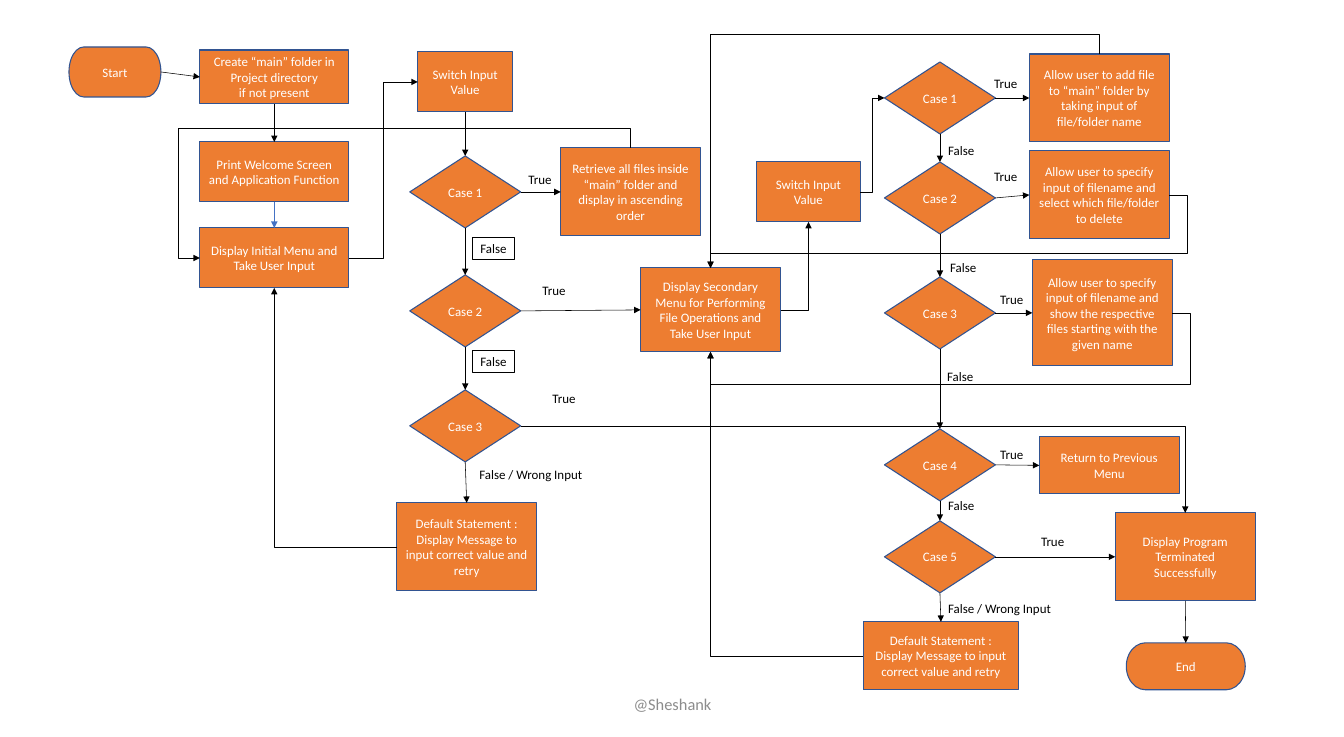
from lxml import etree
from pptx import Presentation, util as u
from pptx.dml.color import RGBColor
from pptx.enum import shapes, text
from pptx.oxml.ns import qn

ORANGE = RGBColor(0xED, 0x7D, 0x31)
NAVY = RGBColor(0x32, 0x54, 0x91)
BLUE = RGBColor(0x44, 0x72, 0xC4)
BLACK = RGBColor(0, 0, 0)
WHITE = RGBColor(0xFF, 0xFF, 0xFF)
GREY = RGBColor(0x8C, 0x8C, 0x8C)
TOP, LEFT, BOTTOM, RIGHT = range(4)
PROCESS = shapes.MSO_SHAPE.FLOWCHART_PROCESS
DECISION = shapes.MSO_SHAPE.FLOWCHART_DECISION
TERMINATOR = shapes.MSO_SHAPE.FLOWCHART_TERMINATOR
RECTANGLE = shapes.MSO_SHAPE.RECTANGLE


def px(*lengths):
    """Turn whole pixels into EMU."""
    return [u.Emu(round(length * 914400 / 77.6)) for length in lengths]


class Flowchart:
    """Holds the style and the current slide."""

    font_name = "Calibri"
    font_size = 12

    def __init__(self, slide):
        self.shapes = slide.shapes

    def set_text(self, shape, words, color, align, anchor, size=font_size):
        """Put styled text into a shape, one paragraph per line of words."""
        frame = shape.text_frame
        frame.text = words
        frame.vertical_anchor = anchor
        for paragraph in frame.paragraphs:
            paragraph.alignment = align
            paragraph.font.name = self.font_name
            paragraph.font.size = u.Pt(size)
            paragraph.font.color.rgb = color
        return frame

    def node(self, kind, words, *box):
        """Draw one step of the flow."""
        shape = self.shapes.add_shape(kind, *px(*box))
        shape.shadow.inherit = False
        shape.fill.solid()
        shape.fill.fore_color.rgb = ORANGE
        shape.line.color.rgb = NAVY
        shape.line.width = u.Pt(1)
        frame = self.set_text(shape, words, WHITE, text.PP_ALIGN.CENTER, text.MSO_ANCHOR.MIDDLE)
        frame.word_wrap = True
        return shape

    def cases(self, left, tops):
        """Draw a column of numbered decisions."""
        return [self.node(DECISION, f"Case {number}", left, top, 111, 72)
                for number, top in enumerate(tops, 1)]

    def label(self, words, left, top, width, bordered=False):
        """Place the outcome beside a branch."""
        box = self.shapes.add_textbox(*px(left, top, width, 23))
        self.set_text(box, words, BLACK, text.PP_ALIGN.LEFT, text.MSO_ANCHOR.TOP).word_wrap = False
        if bordered:
            box.line.color.rgb = BLACK
            box.line.width = u.Pt(0.75)

    def footer(self, words, *box):
        """Place the centred footer."""
        shape = self.shapes.add_textbox(*px(*box))
        frame = self.set_text(shape, words, GREY, text.PP_ALIGN.CENTER, text.MSO_ANCHOR.MIDDLE, 15.2)
        frame.word_wrap = True

    def arrow(self, source, source_side, target, target_side, color=BLACK):
        """Join two steps with a straight arrow."""
        connector = self.shapes.add_connector(shapes.MSO_CONNECTOR.STRAIGHT, 0, 0, 0, 0)
        connector.begin_connect(source, source_side)
        connector.end_connect(target, target_side)
        connector.line.color.rgb = color
        connector.line.width = u.Pt(0.5)
        properties = connector._element.spPr
        etree.SubElement(properties.find(qn("a:ln")), qn("a:tailEnd"), type="triangle")
        etree.SubElement(properties, qn("a:effectLst"))
        return connector

    def elbow(self, source, source_side, target, target_side, *bends):
        """Join two steps with a bent arrow; bends are fractions of its extent."""
        connector = self.arrow(source, source_side, target, target_side)
        start_x, start_y = connector.begin_x, connector.begin_y
        end_x, end_y = connector.end_x, connector.end_y
        across, down = end_x - start_x, end_y - start_y
        if source_side in (TOP, BOTTOM):
            across, down = -down, across
            connector.rotation = 270
        connector.width, connector.height = abs(across), abs(down)
        connector.left = (start_x + end_x - connector.width) // 2
        connector.top = (start_y + end_y - connector.height) // 2
        properties = connector._element.spPr
        properties.xfrm.flipH, properties.xfrm.flipV = across < 0, down < 0
        geometry = properties.prstGeom
        geometry.set("prst", f"bentConnector{len(bends) + 2}")
        geometry.rewrite_guides([(f"adj{index}" if len(bends) > 1 else "adj1", round(bend * 100000))
                                 for index, bend in enumerate(bends, 1)])


presentation = Presentation()
presentation.slide_width, presentation.slide_height = u.Inches(17.33), u.Inches(9.5)
chart = Flowchart(presentation.slides.add_slide(presentation.slide_layouts[6]))
node, arrow, elbow = chart.node, chart.arrow, chart.elbow

# Main menu
start = node(TERMINATOR, "Start", 69, 47, 92, 50)
create = node(RECTANGLE, "Create “main” folder in Project directory\nif not present", 200, 50, 149, 54)
welcome = node(RECTANGLE, "Print Welcome Screen and Application Function", 200, 142, 149, 60)
menu = node(RECTANGLE, "Display Initial Menu and Take User Input", 200, 228, 149, 60)
main_switch = node(RECTANGLE, "Switch Input\nValue", 418, 52, 95, 60)
main_cases = chart.cases(410, (156, 275, 390))
retrieve = node(PROCESS, "Retrieve all files inside “main” folder and display in ascending order",
                561, 148, 140, 88)
DEFAULT_WORDS = "Default Statement : Display Message to input correct value and retry"
main_default = node(PROCESS, DEFAULT_WORDS, 397, 503, 140, 88)

# File operations
file_menu = node(PROCESS, "Display Secondary Menu for Performing File Operations and Take User Input",
                 641, 268, 140, 84)
file_switch = node(RECTANGLE, "Switch Input\nValue", 757, 162, 104, 60)
file_cases = chart.cases(885, (62, 162, 277, 429, 521))
add_file = node(PROCESS, "Allow user to add file to “main” folder by taking input of file/folder name",
                1030, 54, 140, 88)
delete_file = node(PROCESS, "Allow user to specify input of filename and select which file/folder to delete",
                   1030, 151, 140, 88)
show_files = node(PROCESS, "Allow user to specify input of filename and show the respective files "
                  "starting with the given name", 1033, 260, 140, 106)
go_back = node(PROCESS, "Return to Previous Menu", 1040, 437, 140, 57)
file_default = node(PROCESS, DEFAULT_WORDS, 864, 622, 155, 68)
terminated = node(PROCESS, "Display Program Terminated Successfully", 1116, 513, 140, 88)
end = node(TERMINATOR, "End", 1127, 643, 119, 47)

# Straight flow
arrow(start, RIGHT, create, LEFT)
arrow(welcome, BOTTOM, menu, TOP, BLUE)
main_column = [main_switch, *main_cases, main_default]
file_column = [*file_cases, file_default]
for column in ([create, welcome], main_column, file_column, [terminated, end]):
    for upper, lower in zip(column, column[1:]):
        arrow(upper, BOTTOM, lower, TOP)
branches = [*zip(main_cases, (retrieve, file_menu)),
            *zip(file_cases, (add_file, delete_file, show_files, go_back, terminated))]
for case, action in branches:
    arrow(case, RIGHT, action, LEFT)

# Bent flow
elbow(menu, RIGHT, main_switch, LEFT, 0.5)
elbow(main_default, LEFT, menu, BOTTOM)
elbow(main_cases[2], RIGHT, terminated, TOP)
elbow(retrieve, TOP, menu, LEFT, -0.18, 1.05)
elbow(file_menu, RIGHT, file_switch, BOTTOM)
elbow(file_switch, RIGHT, file_cases[0], LEFT, 0.5)
elbow(file_default, LEFT, file_menu, BOTTOM)
elbow(add_file, TOP, file_menu, TOP, -0.09)
elbow(delete_file, RIGHT, file_menu, TOP, -0.04, 0.8)
elbow(show_files, RIGHT, file_menu, BOTTOM, -0.04, 1.83)

# Branch outcomes
for left, top in ((521, 168), (535, 279), (545, 387), (987, 72), (987, 165),
                  (993, 288), (993, 443), (1034, 530)):
    chart.label("True", left, top, 39)
for left, top in ((941, 139), (943, 256), (940, 365), (941, 494)):
    chart.label("False", left, top, 42)
for top in (237, 350):
    chart.label("False", 473, top, 42, bordered=True)
for left, top in ((472, 463), (941, 597)):
    chart.label("False / Wrong Input", left, top, 120)
chart.footer("@Sheshank", 446, 684, 454, 40)

presentation.save("out.pptx")
